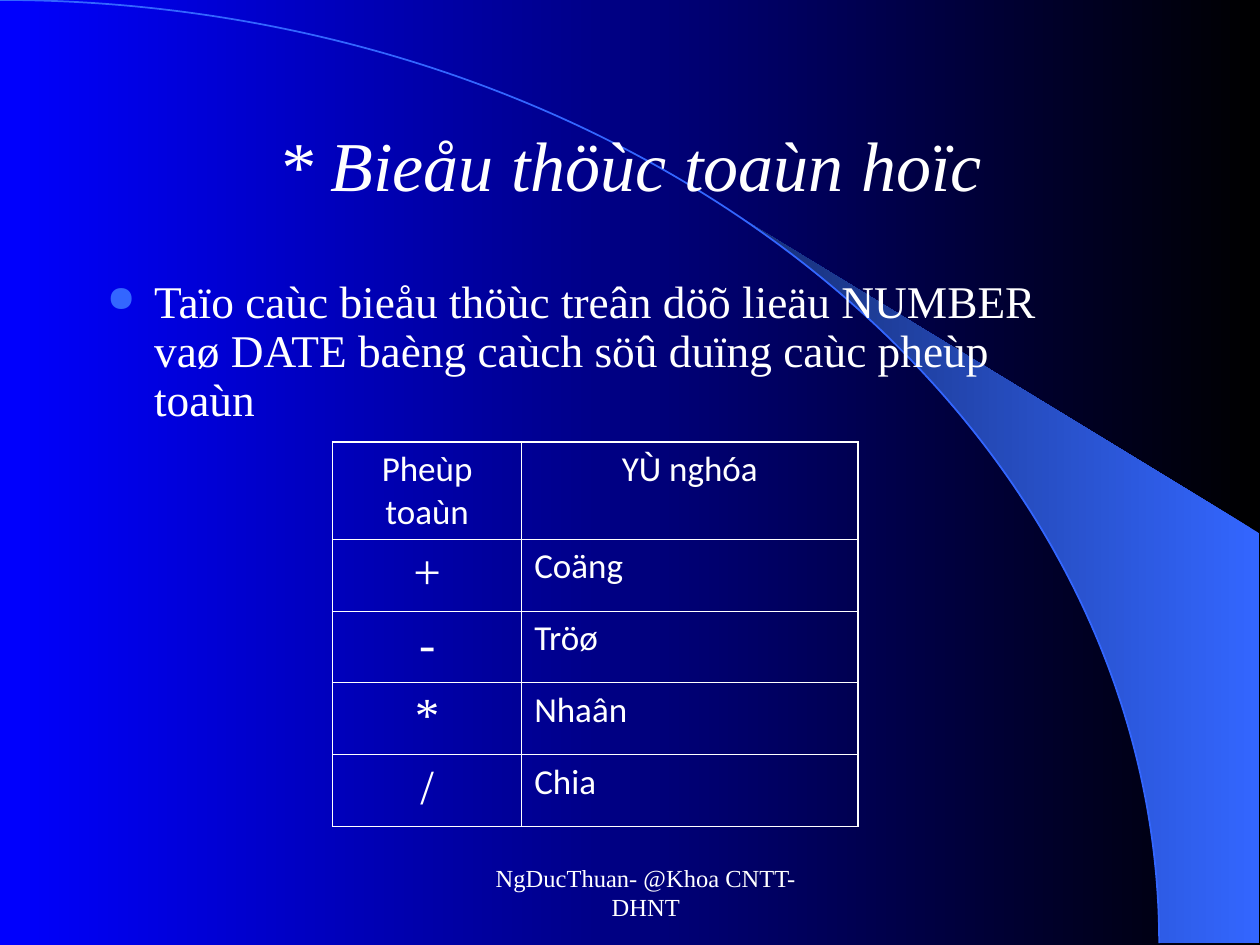
"""Build a slide on arithmetic operators with a table over a curved backdrop."""
from dataclasses import dataclass
from math import cos, radians, sin

from lxml import etree
from pptx import Presentation
from pptx.dml.color import RGBColor
from pptx.enum.shapes import MSO_SHAPE
from pptx.enum.text import MSO_ANCHOR, PP_ALIGN
from pptx.oxml.ns import qn
from pptx.util import Inches, Pt

WIDE, TALL = Inches(10), Inches(7.5)
ARC = MSO_SHAPE.ARC
TOP, MIDDLE = MSO_ANCHOR.TOP, MSO_ANCHOR.MIDDLE
LEFT, CENTER = PP_ALIGN.LEFT, PP_ALIGN.CENTER
SERIF, SANS = "Times New Roman", "Calibri"
WHITE, BLUE = "FFFFFF", "3366FF"
THIN, THICK = 0.45, 1.08
CURVE_X, CURVE_Y = 92, 99.8
ROWS = [
    ("Pheùp toaùn", "YÙ nghóa"),
    ("+", "Coäng"),
    ("-", "Tröø"),
    ("*", "Nhaân"),
    ("/", "Chia"),
]


@dataclass
class Box:
    """A frame in percent of the slide's width and height."""
    left: float
    top: float
    width: float
    height: float

    def frame(self) -> tuple:
        """Return the frame as lengths."""
        return across(self.left), down(self.top), across(self.width), down(self.height)


@dataclass
class Style:
    """The look of one paragraph."""
    size: float
    font: str = SERIF
    align: PP_ALIGN = CENTER
    slant: bool = False


@dataclass
class Label:
    """A text box with one paragraph."""
    text: str
    box: Box
    style: Style
    anchor: MSO_ANCHOR = MIDDLE
    margin: float = 0
    indent: float = 0
    bullet: str = ""


LABELS = [
    Label("* Bieåu thöùc toaùn hoïc", Box(7.5, 8.93, 85, 16.67), Style(40, slant=True)),
    Label("Taïo caùc bieåu thöùc treân döõ lieäu NUMBER vaø DATE "
          "baèng caùch söû duïng caùc pheùp toaùn",
          Box(7.5, 28.93, 80.3, 19.07), Style(25.9, align=LEFT), TOP, 3.75, -3.75, "●"),
    Label("NgDucThuan- @Khoa CNTT-DHNT", Box(34.2, 91.07, 31.7, 6.67), Style(14), margin=2.4),
]


def across(share: float) -> int:
    """Turn a percent of the width into a length."""
    return round(WIDE * share / 100)


def down(share: float) -> int:
    """Turn a percent of the height into a length."""
    return round(TALL * share / 100)


def paint(code: str) -> RGBColor:
    """Turn a hex string into a colour."""
    return RGBColor.from_string(code)


def blend(fill, first: str, last: str) -> None:
    """Fill with a gradient that runs from right to left."""
    fill.gradient()
    fill.gradient_angle = 180
    for stop, code in zip(fill.gradient_stops, (first, last)):
        stop.color.rgb = paint(code)


def write(para, text: str, style: Style) -> None:
    """Set the text and look of a paragraph."""
    para.text = text
    para.alignment = style.align
    font = para.font
    font.size, font.name, font.italic = Pt(style.size), style.font, style.slant
    font.color.rgb = paint(WHITE)


def mark(props, sign: str) -> None:
    """Add a coloured bullet to paragraph properties."""
    tint = etree.SubElement(props, qn("a:buClr"))
    etree.SubElement(tint, qn("a:srgbClr"), val=BLUE)
    etree.SubElement(props, qn("a:buSzPct"), val="80000")
    etree.SubElement(props, qn("a:buChar"), char=sign)


def draw_label(slide, label: Label) -> None:
    """Draw one text box."""
    frame = slide.shapes.add_textbox(*label.box.frame()).text_frame
    frame.word_wrap = True
    frame.vertical_anchor = label.anchor
    para = frame.paragraphs[0]
    props = para._p.get_or_add_pPr()
    props.set("marL", str(across(label.margin)))
    props.set("indent", str(across(label.indent)))
    if label.bullet:
        para.line_spacing = 0.9
        mark(props, label.bullet)
    write(para, label.text, label.style)


def draw_curve(slide) -> None:
    """Draw the swoosh and the arc that bounds it."""
    start, steps = 39.8, 24
    turns = [radians(start + (90 - start) * i / steps) for i in range(steps + 1)]
    rim = [(across(CURVE_X * sin(t)), down(CURVE_Y * (1 - cos(t)))) for t in turns]
    edge = [(across(99.9), down(y)) for y in (CURVE_Y, 56.4)]
    path = slide.shapes.build_freeform(*rim[0])
    path.add_line_segments(rim[1:] + edge)
    swoosh = path.convert_to_shape()
    swoosh.shadow.inherit = False
    swoosh.line.fill.background()
    blend(swoosh.fill, BLUE, "172F75")

    box = Box(-CURVE_X, 0, 2 * CURVE_X, 2 * CURVE_Y)
    arc = slide.shapes.add_shape(ARC, *box.frame())
    arc.shadow.inherit = False
    arc.fill.background()
    arc.line.color.rgb = paint(BLUE)
    arc.line.width = Pt(1)


def rule(cell, side: str, width: float) -> None:
    """Add a white border to one side of a cell."""
    props = cell._tc.get_or_add_tcPr()
    line = etree.SubElement(props, qn(f"a:ln{side}"), w=str(Pt(width)))
    fill = etree.SubElement(line, qn("a:solidFill"))
    etree.SubElement(fill, qn("a:srgbClr"), val=WHITE)


def draw_table(slide, box: Box, cols: list[float], rows: list[float]) -> None:
    """Draw the table of operators with a thick outer frame."""
    table = slide.shapes.add_table(len(rows), len(cols), *box.frame()).table
    table.first_row = table.horz_banding = False
    for col, share in zip(table.columns, cols):
        col.width = across(share)
    for row, share in zip(table.rows, rows):
        row.height = down(share)
    for r, texts in enumerate(ROWS):
        for c, text in enumerate(texts):
            cell = table.cell(r, c)
            outer = {"L": c == 0, "R": c == len(cols) - 1,
                     "T": r == 0, "B": r == len(rows) - 1}
            for side, thick in outer.items():
                rule(cell, side, THICK if thick else THIN)
            cell.fill.background()
            if r == 0:
                style = Style(20, SANS)
            else:
                style = Style(20, SANS, LEFT) if c else Style(28)
            write(cell.text_frame.paragraphs[0], text, style)


def main() -> None:
    """Build and save the slide."""
    deck = Presentation()
    deck.slide_width, deck.slide_height = WIDE, TALL
    slide = deck.slides.add_slide(deck.slide_layouts[6])
    blend(slide.background.fill, "000000", "0000FF")
    draw_curve(slide)
    for label in LABELS:
        draw_label(slide, label)
    draw_table(slide, Box(26.4, 46.8, 41.7, 40.67), [15, 26.7], [10.27] + [7.6] * 4)
    deck.save("out.pptx")


if __name__ == "__main__":
    main()
